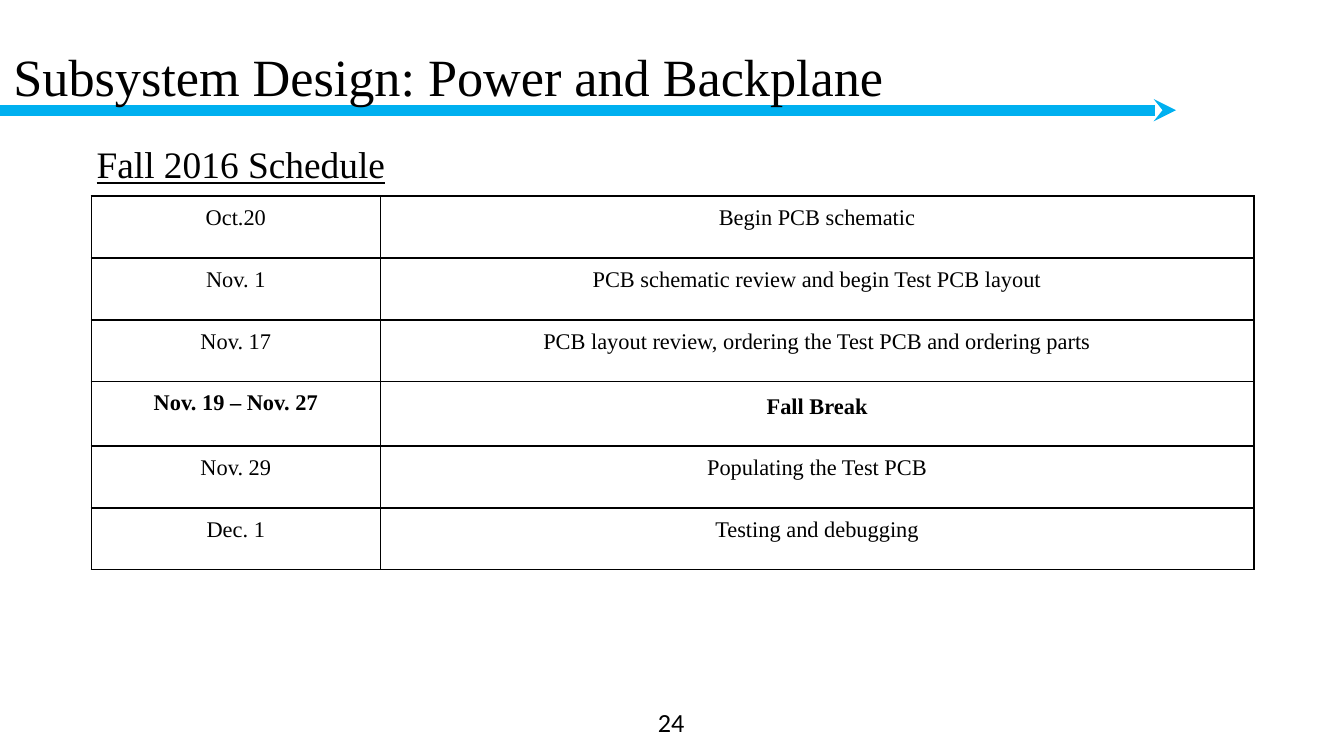
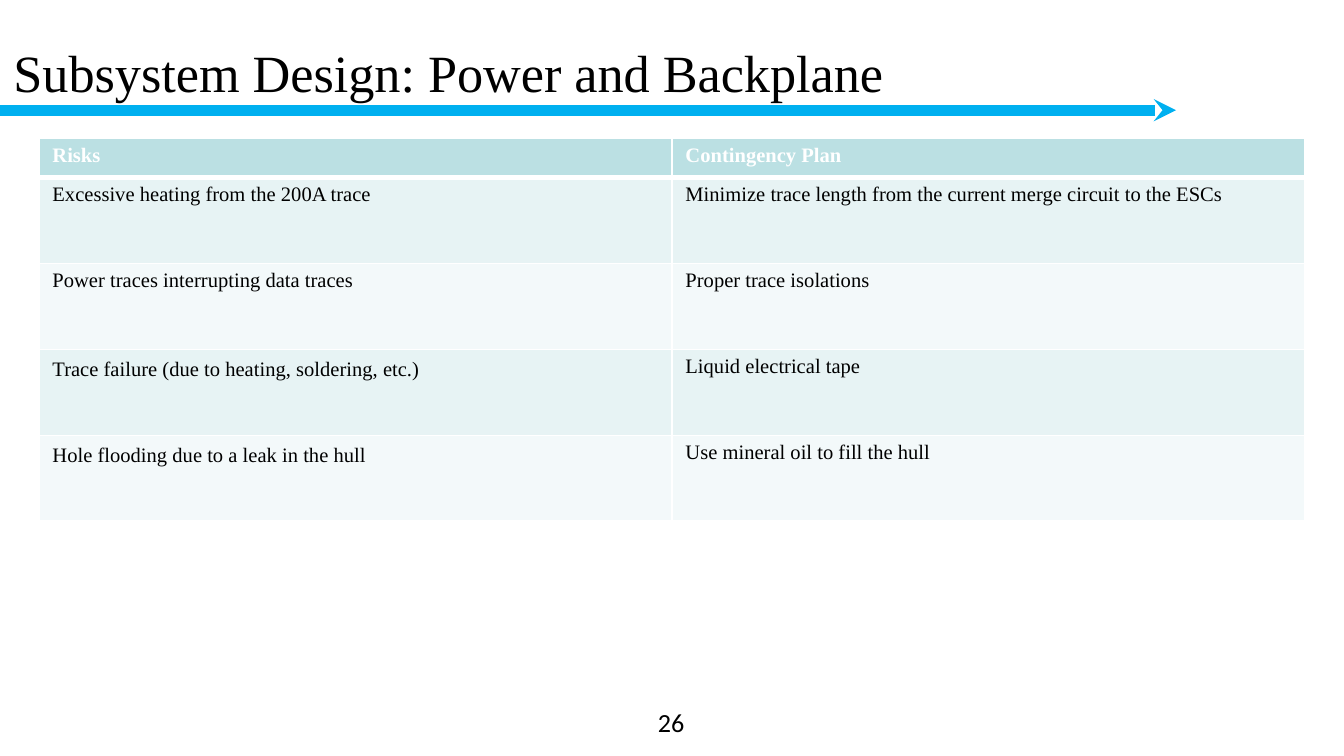
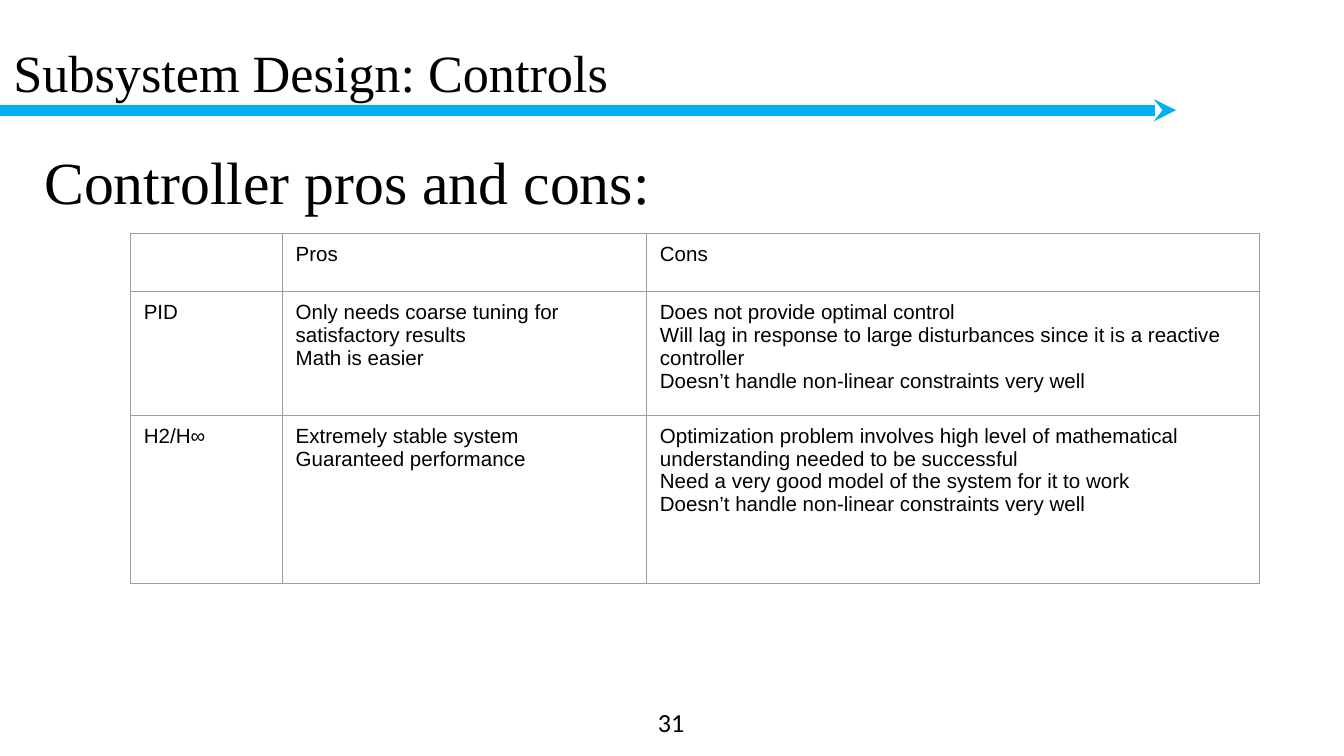
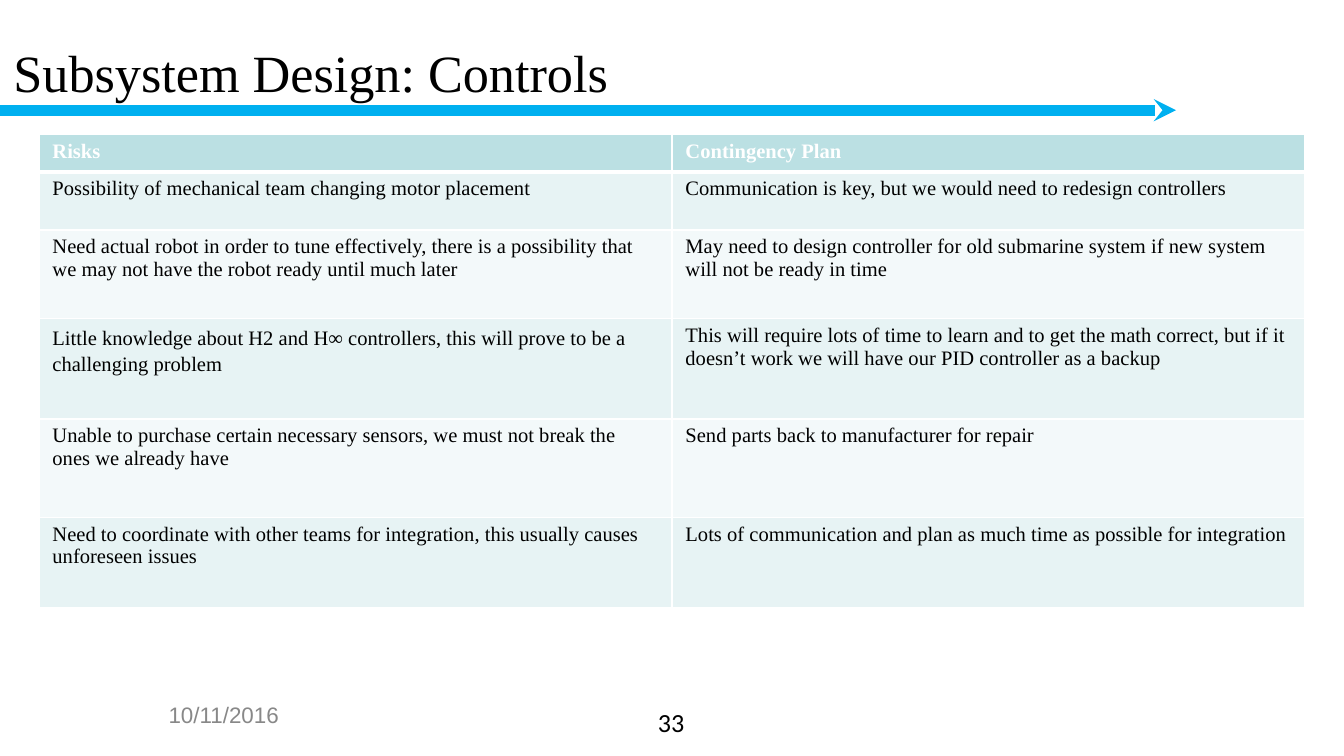
"""Build four subsystem design slides: schedule, risks and controller comparison."""
from dataclasses import dataclass

from lxml.etree import SubElement
from pptx import Presentation
from pptx.dml.color import RGBColor
from pptx.enum.shapes import MSO_CONNECTOR as Connector
from pptx.enum.text import MSO_ANCHOR as Anchor, MSO_AUTO_SIZE as AutoSize, PP_ALIGN as Align
from pptx.oxml import parse_xml
from pptx.oxml.ns import nsdecls, qn
from pptx.util import Inches, Pt


@dataclass(frozen=True)
class Theme:
    """Colours, fonts and type sizes of the deck."""
    black: str = "000000"
    white: str = "FFFFFF"
    arrow: str = "00B0F0"
    grid: str = "9E9E9E"
    muted: str = "888888"
    header: str = "BBE0E3"
    bands: tuple = ("E7F3F4", "F3F9FA")
    serif: str = "Times New Roman"
    sans: str = "Arial"
    number: str = "Calibri"
    title_size: int = 28
    lead_size: int = 32
    subtitle_size: int = 20
    number_size: int = 14
    small_size: int = 12
    cell_size: int = 11


THEME = Theme()

SCHEDULE = [
    ("Oct.20", "Begin PCB schematic"),
    ("Nov. 1", "PCB schematic review and begin Test PCB layout"),
    ("Nov. 17", "PCB layout review, ordering the Test PCB and ordering parts"),
    ("Nov. 19 – Nov. 27", "Fall Break"),
    ("Nov. 29", "Populating the Test PCB"),
    ("Dec. 1", "Testing and debugging"),
]
RISK_HEADER = ("Risks", "Contingency Plan")
POWER_RISKS = [
    RISK_HEADER,
    ("Excessive heating from the 200A trace",
     "Minimize trace length from the current merge circuit to the ESCs"),
    ("Power traces interrupting data traces", "Proper trace isolations"),
    ("Trace failure (due to heating, soldering, etc.)", "Liquid electrical tape"),
    ("Hole flooding due to a leak in the hull", "Use mineral oil to fill the hull"),
]
CONTROLLERS = [
    ("", "Pros", "Cons"),
    ("PID",
     "Only needs coarse tuning for satisfactory results\nMath is easier",
     "Does not provide optimal control\n"
     "Will lag in response to large disturbances since it is a reactive controller\n"
     "Doesn’t handle non-linear constraints very well"),
    ("H2/H∞",
     "Extremely stable system\nGuaranteed performance",
     "Optimization problem involves high level of mathematical understanding "
     "needed to be successful\n"
     "Need a very good model of the system for it to work\n"
     "Doesn’t handle non-linear constraints very well"),
]
CONTROL_RISKS = [
    RISK_HEADER,
    ("Possibility of mechanical team changing motor placement",
     "Communication is key, but we would need to redesign controllers"),
    ("Need actual robot in order to tune effectively, there is a possibility that "
     "we may not have the robot ready until much later",
     "May need to design controller for old submarine system if new system "
     "will not be ready in time"),
    ("Little knowledge about H2 and H∞ controllers, this will prove to be "
     "a challenging problem",
     "This will require lots of time to learn and to get the math correct, but if it "
     "doesn’t work we will have our PID controller as a backup"),
    ("Unable to purchase certain necessary sensors, we must not break the ones "
     "we already have",
     "Send parts back to manufacturer for repair"),
    ("Need to coordinate with other teams for integration, this usually causes "
     "unforeseen issues",
     "Lots of communication and plan as much time as possible for integration"),
]

SCHEDULE_STYLE = dict(font=THEME.serif, size=THEME.small_size, align=Align.CENTER,
                      margins=(0.07, 0.07), border=(THEME.black, 1))
RISK_STYLE = dict(font=THEME.serif, size=THEME.cell_size, align=Align.LEFT,
                  margins=(0.1, 0.04), border=(THEME.white, 1), banded=True)
CONTROLLER_STYLE = dict(font=THEME.sans, size=THEME.cell_size, align=Align.LEFT,
                        margins=(0.1, 0.07), border=(THEME.grid, 0.75))

POWER = "Subsystem Design: Power and Backplane"
CONTROLS = "Subsystem Design: Controls"
SLIDES = [
    dict(title=POWER, title_top=0.09, number=24,
         table=dict(rows=SCHEDULE, at=(0.68, 1.46), widths=(2.15, 6.5),
                    heights=(0.46, 0.46, 0.46, 0.48, 0.46, 0.46),
                    style=SCHEDULE_STYLE, bold_row=3, loose={(3, 1)}),
         texts=[dict(text="Fall 2016 Schedule", at=(0.62, 0.95, 6.98, 0.39),
                     margins=(0.1, 0.1), size=THEME.subtitle_size, underline=True)]),
    dict(title=POWER, number=26,
         table=dict(rows=POWER_RISKS, at=(0.29, 1.03), widths=(4.71, 4.71),
                    heights=(0.29, 0.64, 0.64, 0.64, 0.64),
                    style=RISK_STYLE, bold_row=0, loose={(3, 0), (4, 0)})),
    dict(title=CONTROLS, number=31,
         table=dict(rows=CONTROLLERS, at=(0.97, 1.74), widths=(1.13, 2.71, 4.56),
                    heights=(0.43, 0.92, 1.25), style=CONTROLLER_STYLE),
         texts=[dict(text="Controller pros and cons:", at=(0, 0.98, 9, 0.63),
                     margins=(0.33, 0.1), size=THEME.lead_size)]),
    dict(title=CONTROLS, number=33,
         table=dict(rows=CONTROL_RISKS, at=(0.29, 1), widths=(4.71, 4.71),
                    heights=(0.28, 0.43, 0.66, 0.75, 0.73, 0.67),
                    style=RISK_STYLE, bold_row=0, loose={(3, 0)}),
         texts=[dict(text="10/11/2016", at=(0.5, 5.12, 2.33, 0.39), font=THEME.sans,
                     size=THEME.small_size, color=THEME.muted, align=Align.CENTER,
                     anchor=Anchor.MIDDLE)]),
]


def write(frame, text, size, font=THEME.serif, color=THEME.black, align=Align.LEFT,
          spacing=None, **font_values):
    """Write one paragraph for each line of text."""
    for index, line in enumerate(text.split("\n")):
        paragraph = frame.add_paragraph() if index else frame.paragraphs[0]
        paragraph.alignment = align
        paragraph.line_spacing = spacing
        run = paragraph.add_run()
        run.text = line
        values = dict(name=font, size=Pt(size), **font_values)
        for name, value in values.items():
            setattr(run.font, name, value)
        run.font.color.rgb = RGBColor.from_string(color)


def set_margins(target, horizontal, vertical):
    """Set equal side margins and equal top and bottom margins."""
    for side, margin in zip(("left", "right", "top", "bottom"),
                            (horizontal, horizontal, vertical, vertical)):
        setattr(target, f"margin_{side}", Inches(margin))


def place_text(shape, text, at, margins=(0.1, 0.05), anchor=Anchor.TOP, **style):
    """Move a text shape and give it its wording."""
    for name, length in zip(("left", "top", "width", "height"), at):
        setattr(shape, name, Inches(length))
    frame = shape.text_frame
    for name, value in dict(word_wrap=True, auto_size=AutoSize.NONE,
                            vertical_anchor=anchor).items():
        setattr(frame, name, value)
    set_margins(frame, *margins)
    write(frame, text, **style)


def add_text(slide, **values):
    """Add a text box."""
    place_text(slide.shapes.add_textbox(0, 0, 0, 0), **values)


def add_title_arrow(slide):
    """Draw the arrow under the title, behind its text."""
    arrow = slide.shapes.add_connector(Connector.STRAIGHT, 0, Inches(0.82),
                                       Inches(8.75), Inches(0.82))
    arrow.line.color.rgb = RGBColor.from_string(THEME.arrow)
    arrow.line.width = Pt(6)
    SubElement(arrow.line._get_or_add_ln(), qn("a:tailEnd"),
               type="stealth", w="sm", len="sm")
    SubElement(arrow._element.spPr, qn("a:effectLst"))
    slide.shapes.title._element.addprevious(arrow._element)


def set_borders(cell, color, widths):
    """Draw the left, right, top and bottom borders of a cell."""
    properties = cell._tc.get_or_add_tcPr()
    for index, (side, width) in enumerate(zip("LRTB", widths)):
        properties.insert(index, parse_xml(
            f'<a:ln{side} {nsdecls("a")} w="{Pt(width)}"><a:solidFill>'
            f'<a:srgbClr val="{color}"/></a:solidFill></a:ln{side}>'))


def add_table(slide, rows, at, widths, heights, style, bold_row=None, loose=()):
    """Add a table with its own fills and borders."""
    left, top = at
    table = slide.shapes.add_table(
        len(rows), len(widths), Inches(left), Inches(top),
        Inches(sum(widths)), Inches(sum(heights))).table
    table.first_row = table.horz_banding = False
    for column, width in zip(table.columns, widths):
        column.width = Inches(width)
    for row, height in zip(table.rows, heights):
        row.height = Inches(height)
    banded = style.get("banded", False)
    color, line = style["border"]
    for r, texts in enumerate(rows):
        header = banded and r == 0
        for c, text in enumerate(texts):
            cell = table.cell(r, c)
            set_margins(cell, *style["margins"])
            write(cell.text_frame, text, style["size"], style["font"],
                  THEME.white if header else THEME.black, style["align"],
                  1.15 if (r, c) in loose else None, bold=r == bold_row)
            if banded:
                fill = THEME.header if header else THEME.bands[(r - 1) % 2]
                cell.fill.solid()
                cell.fill.fore_color.rgb = RGBColor.from_string(fill)
            else:
                cell.fill.background()
            set_borders(cell, color, (line, line, 3 if banded and r == 1 else line,
                                      3 if header else line))


def main():
    """Build and save the deck."""
    presentation = Presentation()
    presentation.slide_width = Inches(10)
    presentation.slide_height = presentation.slide_width * 9 // 16
    for content in SLIDES:
        slide = presentation.slides.add_slide(presentation.slide_layouts[5])
        add_title_arrow(slide)
        place_text(slide.shapes.title, content["title"],
                   (0, content.get("title_top", 0.06), 9, 0.94),
                   anchor=Anchor.MIDDLE, size=THEME.title_size)
        add_text(slide, text=str(content["number"]), at=(3.83, 5.21, 2.33, 0.39),
                 font=THEME.number, size=THEME.number_size, align=Align.CENTER)
        add_table(slide, **content["table"])
        for text in content.get("texts", ()):
            add_text(slide, **text)
    presentation.save("out.pptx")


if __name__ == "__main__":
    main()
